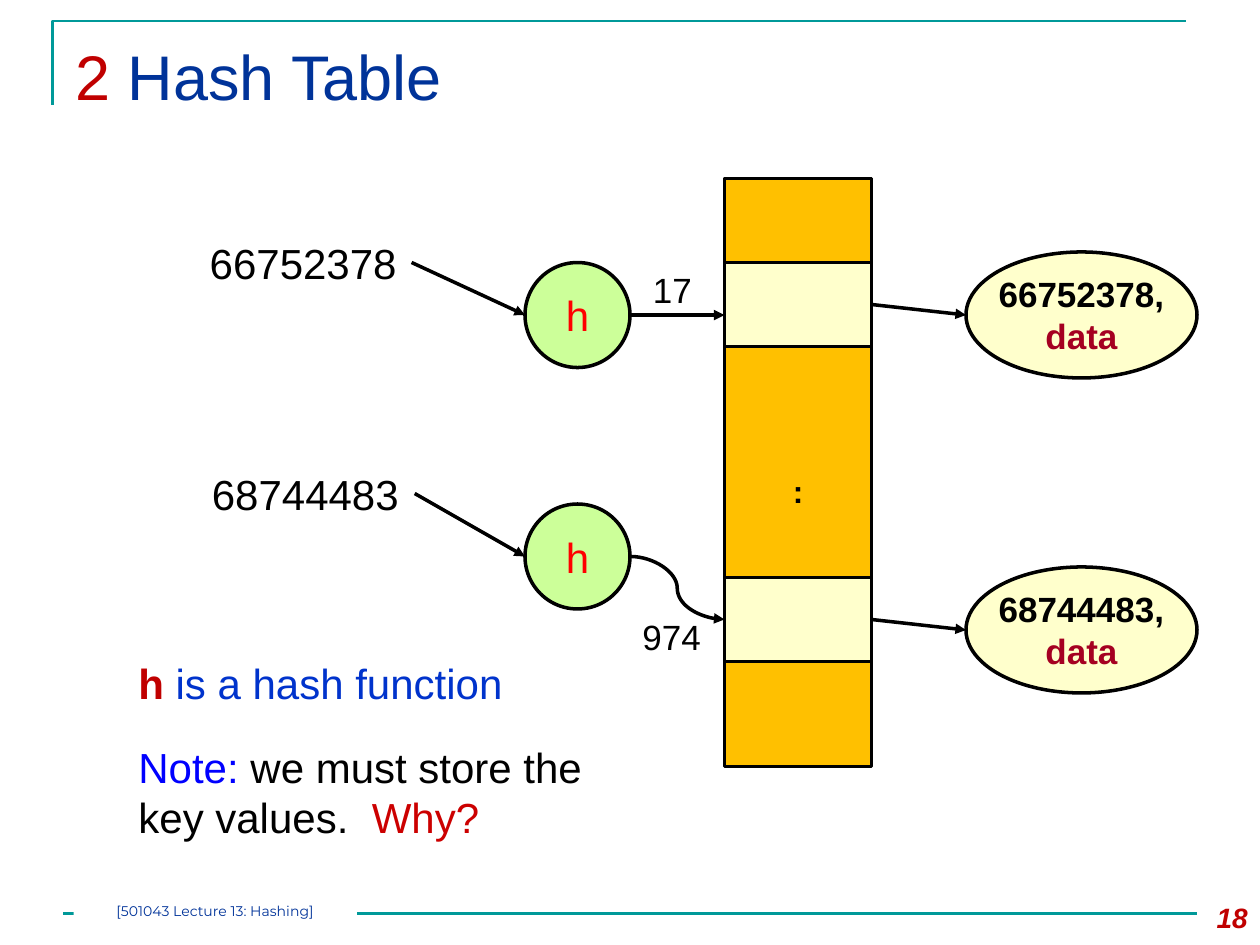
import pptx
import pptx.util
import pptx.dml.color
import pptx.enum.shapes
import pptx.enum.text
import pptx.oxml.ns
from lxml import etree

SCALE = 7620  # EMU in one px, 120 px to the inch
SHAPE = pptx.enum.shapes.MSO_SHAPE
LINK = pptx.enum.shapes.MSO_CONNECTOR
ALIGN = pptx.enum.text.PP_ALIGN
ANCHOR = pptx.enum.text.MSO_ANCHOR

TEAL, BLACK, WHITE = "009999", "000000", "FFFFFF"
GOLD, CREAM, GREEN = "FFC000", "FFFFCC", "CCFF99"
NAVY, DARK, WINE = "003399", "C00000", "A50021"

# box (left, top, width, height), size, wrap, runs of (text, colour, bold)
TEXTS = [
    ((60, 30, 1080, 120), 36, True, [("2 ", DARK, False), ("Hash Table", NAVY, False)]),
    ((188, 220, 204, 60), 24, False, [("66752378", BLACK, False)]),
    ((190, 440, 204, 60), 24, False, [("68744483", BLACK, False)]),
    ((610, 250, 90, 52), 20, True, [("17", BLACK, False)]),
    ((600, 580, 80, 53), 20, False, [("974", BLACK, False)]),
    ((120, 620, 374, 60), 24, False,
     [("h", DARK, True), (" is a hash function", "0033CC", False)]),
    ((120, 700, 452, 109), 24, True,
     [("Note: ", "0000FF", False), ("we must store the key values.  ", BLACK, False),
      ("Why?", "CC0000", False)]),
]
TABLE = (690, 170, 140, 560)
CELL = 80
HASHES = [250, 480]  # tops of the h circles
ENTRIES = [("66752378,", 250, 240), ("68744483,", 550, 540)]  # key, cell top, oval top
ARROWS = [
    ((392, 250), (500, 300), LINK.STRAIGHT),
    ((395, 470), (500, 530), LINK.STRAIGHT),
    ((600, 300), (690, 300), LINK.STRAIGHT),
    ((600, 530), (690, 590), LINK.CURVE),
]

deck = pptx.Presentation()
deck.slide_width, deck.slide_height = 1200 * SCALE, 900 * SCALE
slide = deck.slides.add_slide(deck.slide_layouts[6])
shapes = slide.shapes


def emu(nums):
    return [num * SCALE for num in nums]


def rgb(code):
    return pptx.dml.color.RGBColor.from_string(code)


def stroke(item, color, width):
    item.line.color.rgb = rgb(color)
    item.line.width = pptx.util.Pt(width)


def write(frame, lines, size, align=ALIGN.LEFT, wrap=True, font="Arial"):
    """Fill a frame with lines, each a list of (text, colour, bold) runs."""
    frame.word_wrap = wrap
    for num, runs in enumerate(lines):
        para = frame.add_paragraph() if num else frame.paragraphs[0]
        para.alignment = align
        for text, color, bold in runs:
            run = para.add_run()
            run.text = text
            run.font.name, run.font.size = font, pptx.util.Pt(size)
            run.font.bold, run.font.color.rgb = bold, rgb(color)


def block(kind, box, fill, lined=True):
    item = shapes.add_shape(kind, *emu(box))
    item.shadow.inherit = False
    item.fill.solid()
    item.fill.fore_color.rgb = rgb(fill)
    if lined:
        stroke(item, BLACK, 2)
    else:
        item.line.fill.background()
    item.text_frame.vertical_anchor = ANCHOR.MIDDLE
    return item


def label(box, size, wrap, runs, align=ALIGN.LEFT):
    item = shapes.add_textbox(*emu(box))
    write(item.text_frame, [runs], size, align, wrap)
    return item


def link(start, end, kind=LINK.STRAIGHT, color=BLACK, width=2, head=True):
    item = shapes.add_connector(kind, *emu(start + end))
    stroke(item, color, width)
    if head:
        etree.SubElement(item.line._get_or_add_ln(),
                         pptx.oxml.ns.qn("a:tailEnd"), type="triangle")
    etree.SubElement(item._element.spPr, pptx.oxml.ns.qn("a:effectLst"))


def frame_lines():
    path = shapes.build_freeform(50, 100, scale=SCALE)
    path.add_line_segments([(50, 20), (1130, 20)], close=False)
    corner = path.convert_to_shape()
    corner.shadow.inherit = False
    corner.fill.background()
    stroke(corner, TEAL, 1.5)
    link((60, 870), (1140, 870), color=TEAL, width=1.5, head=False)


def footer():
    foot = block(SHAPE.RECTANGLE, (70, 860, 270, 20), WHITE, lined=False)
    text = foot.text_frame
    text.vertical_anchor = ANCHOR.TOP
    text.margin_left = text.margin_top = text.margin_right = text.margin_bottom = 0
    write(text, [[("[501043 Lecture 13: Hashing]", NAVY, False)]], 8,
          ALIGN.CENTER, font="Montserrat")
    page = label((1120, 852, 80, 48), 16, True, [("18", DARK, True)], ALIGN.RIGHT)
    page.text_frame.paragraphs[0].runs[0].font.italic = True


def table():
    left, top, width, height = TABLE
    body = block(SHAPE.RECTANGLE, TABLE, GOLD)
    body.text_frame.margin_top = 41 * SCALE
    write(body.text_frame, [[(":", BLACK, True)]], 18, ALIGN.CENTER, False)
    block(SHAPE.RECTANGLE, (left, top, width, CELL), GOLD)
    right = left + width
    for key, cell, oval in ENTRIES:
        node = block(SHAPE.OVAL, (920, oval, 220, 120), CREAM)
        write(node.text_frame, [[(key, BLACK, True)], [("data", WINE, True)]],
              20, ALIGN.CENTER, False)
        link((right, cell + CELL // 2), (920, oval + 60))
        block(SHAPE.RECTANGLE, (left, cell, width, CELL), CREAM)


frame_lines()
table()
for top in HASHES:
    node = block(SHAPE.OVAL, (500, top, 100, 100), GREEN)
    write(node.text_frame, [[("h", "FF0000", False)]], 24, ALIGN.CENTER, False)
for arrow in ARROWS:
    link(*arrow)
for text in TEXTS:
    label(*text)
footer()
deck.save("out.pptx")
